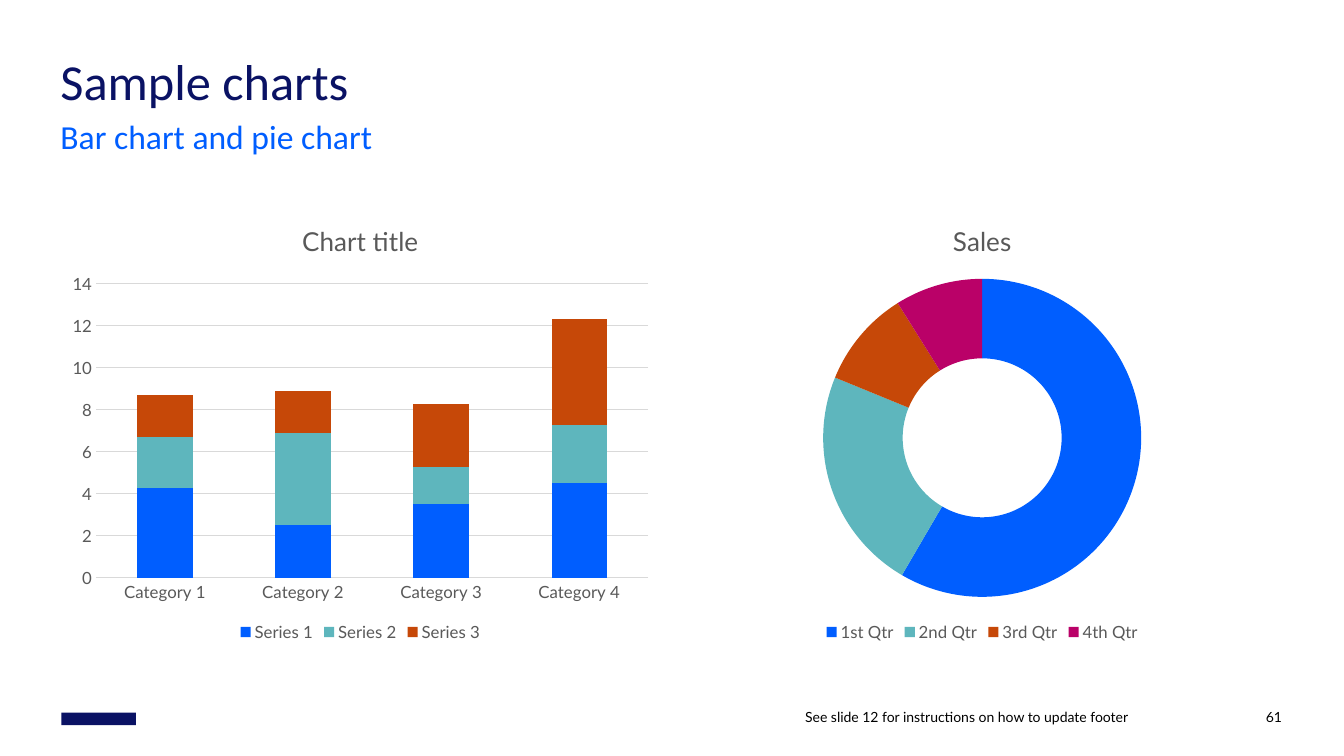
from dataclasses import dataclass

from pptx import Presentation
from pptx.chart.data import CategoryChartData
from pptx.dml.color import RGBColor
from pptx.enum.chart import XL_CHART_TYPE, XL_LEGEND_POSITION, XL_TICK_MARK
from pptx.enum.shapes import MSO_SHAPE
from pptx.enum.text import MSO_ANCHOR, PP_ALIGN
from pptx.util import Pt

STACKED = XL_CHART_TYPE.COLUMN_STACKED
RING = XL_CHART_TYPE.DOUGHNUT
BOTTOM = XL_LEGEND_POSITION.BOTTOM
NO_TICK = XL_TICK_MARK.NONE
RECT = MSO_SHAPE.RECTANGLE
TOP, LOW = MSO_ANCHOR.TOP, MSO_ANCHOR.BOTTOM
LEFT, RIGHT = PP_ALIGN.LEFT, PP_ALIGN.RIGHT


@dataclass
class Theme:
    navy = RGBColor.from_string("0A1264")
    blue = RGBColor.from_string("005EFF")
    teal = RGBColor.from_string("5EB6BD")
    rust = RGBColor.from_string("C64808")
    plum = RGBColor.from_string("BA0168")
    gray = RGBColor.from_string("595959")
    grid = RGBColor.from_string("D9D9D9")
    black = RGBColor.from_string("000000")
    head = "Calibri"
    body = "Lato"
    title = Pt(36)
    sub = Pt(24)
    chart = Pt(18.6)
    label = Pt(12)
    foot = Pt(10)


theme = Theme()
hues = [theme.blue, theme.teal, theme.rust, theme.plum]

deck = Presentation()
deck.slide_width, deck.slide_height = Pt(960), Pt(540)
slide = deck.slides.add_slide(deck.slide_layouts[6])


def style(font, size, color, face=theme.body):
    font.size, font.name, font.bold = size, face, False
    font.color.rgb = color


def write(text, *, box, size, color, face=theme.body, align=LEFT, anchor=TOP, space=1.0):
    frame = slide.shapes.add_textbox(*map(Pt, box)).text_frame
    frame.word_wrap = True
    frame.vertical_anchor = anchor
    frame.margin_left = frame.margin_right = frame.margin_top = frame.margin_bottom = 0
    para = frame.paragraphs[0]
    para.alignment, para.line_spacing = align, space
    run = para.add_run()
    run.text = text
    style(run.font, size, color, face)


mark = slide.shapes.add_shape(RECT, Pt(43.9), Pt(509), Pt(53.3), Pt(9))
mark.shadow.inherit = False
mark.fill.solid()
mark.fill.fore_color.rgb = theme.navy
mark.line.fill.background()

write("Sample charts", box=(43.2, 43.2, 873.4, 34.6), size=theme.title,
      color=theme.navy, face=theme.head, space=Pt(36))
write("Bar chart and pie chart", box=(43.2, 88.6, 873.4, 23), size=theme.sub,
      color=theme.blue, face=theme.head, space=0.8)

for text, left, width in [
    ("See slide 12 for instructions on how to update footer", 376.6, 429.1),
    ("61", 820.8, 95),
]:
    write(text, box=(left, 496.8, width, 21.6), size=theme.foot,
          color=theme.black, align=RIGHT, anchor=LOW)

bars = [("Series 1", (4.3, 2.5, 3.5, 4.5)),
        ("Series 2", (2.4, 4.4, 1.8, 2.8)),
        ("Series 3", (2, 2, 3, 5))]
sales = [("Sales", (59, 23, 10, 9))]
groups = [f"Category {n}" for n in range(1, 5)]
terms = ["1st Qtr", "2nd Qtr", "3rd Qtr", "4th Qtr"]

charts = []
for kind, title, left, cats, rows in [
    (STACKED, "Chart title", 43.2, groups, bars),
    (RING, "Sales", 487.4, terms, sales),
]:
    data = CategoryChartData()
    data.categories = cats
    for name, vals in rows:
        data.add_series(name, vals)
    chart = slide.shapes.add_chart(
        kind, Pt(left), Pt(145.4), Pt(428.4), Pt(316.1), data).chart
    style(chart.font, theme.foot, theme.black)
    chart.has_title = True
    chart.chart_title.text_frame.text = title
    run = chart.chart_title.text_frame.paragraphs[0].runs[0]
    style(run.font, theme.chart, theme.gray)
    chart.has_legend = True
    chart.legend.position = BOTTOM
    chart.legend.include_in_layout = False
    style(chart.legend.font, theme.label, theme.gray)
    charts.append(chart)

stack, ring = charts
plot = stack.plots[0]
plot.gap_width, plot.overlap = 150, 100
slices = [ring.plots[0].series[0].points[i] for i in range(len(terms))]
for parts in (plot.series, slices):
    for part, hue in zip(parts, hues):
        part.format.fill.solid()
        part.format.fill.fore_color.rgb = hue

for axis in (stack.category_axis, stack.value_axis):
    axis.major_tick_mark = axis.minor_tick_mark = NO_TICK
    style(axis.tick_labels.font, theme.label, theme.gray)
stack.value_axis.format.line.fill.background()
stack.value_axis.has_major_gridlines = True
for rule in (stack.category_axis, stack.value_axis.major_gridlines):
    rule.format.line.color.rgb = theme.grid
    rule.format.line.width = Pt(0.75)

deck.save("out.pptx")
